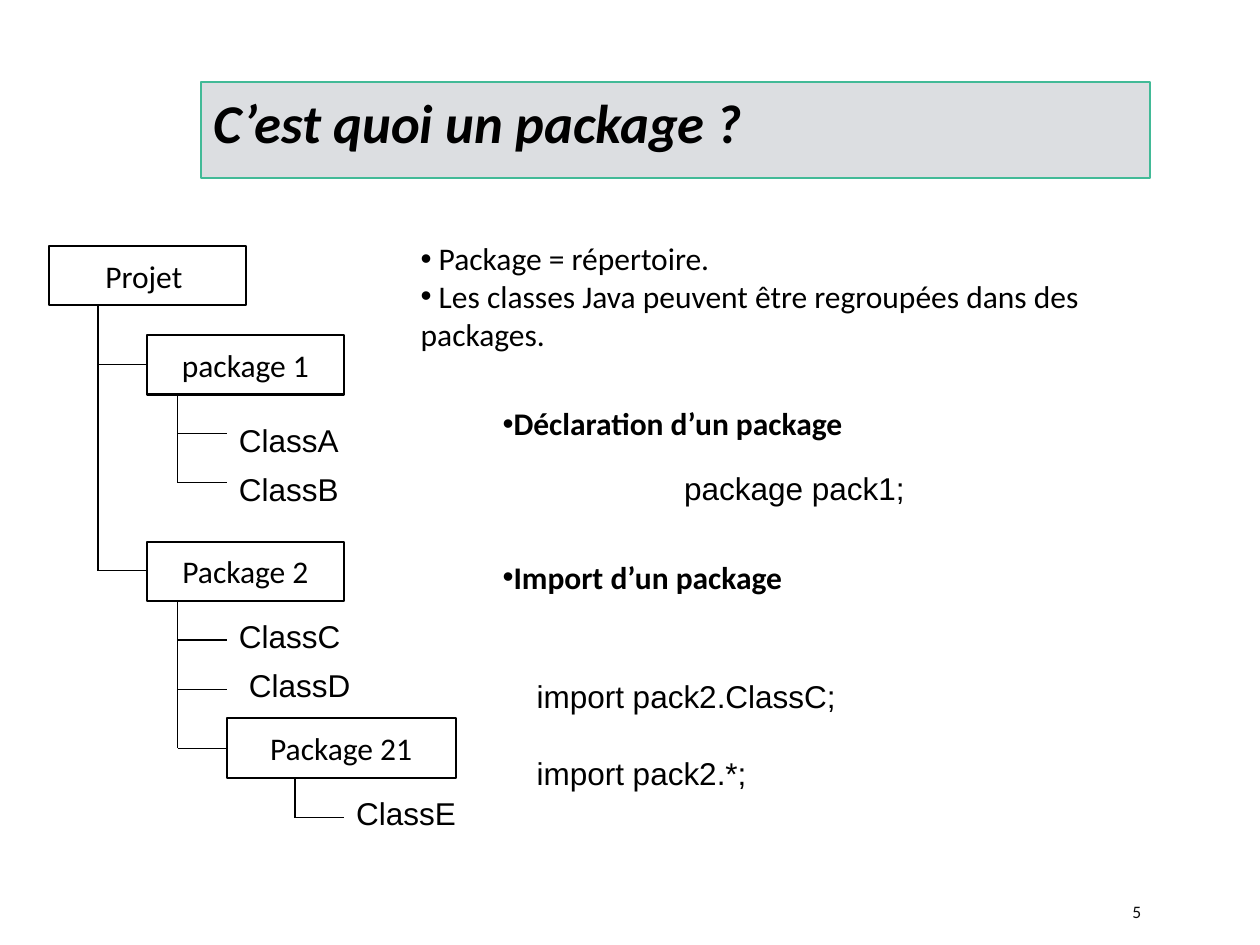
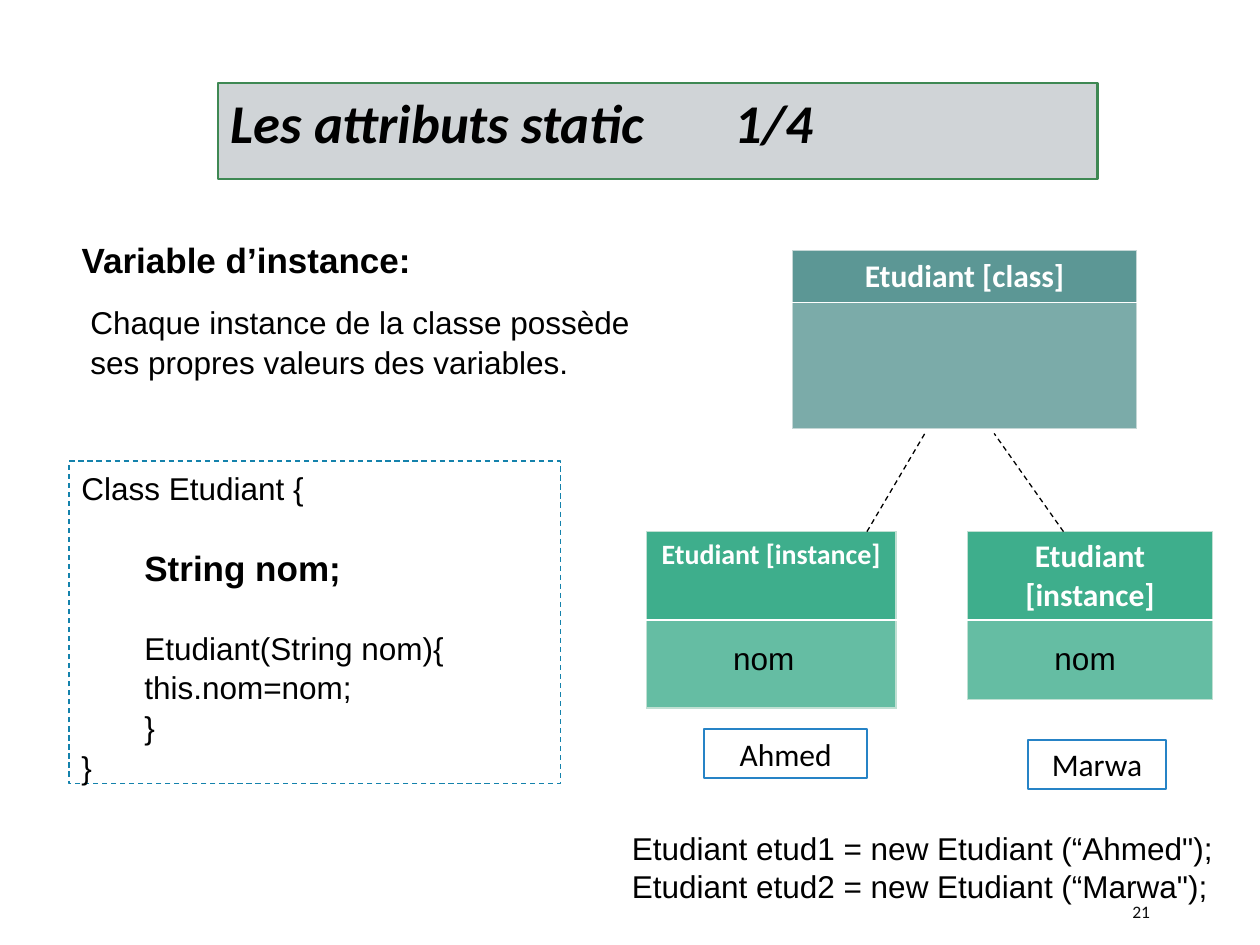
from lxml import etree
from pptx import Presentation
from pptx.dml.color import RGBColor
from pptx.enum.dml import MSO_LINE
from pptx.enum.shapes import MSO_CONNECTOR, MSO_SHAPE
from pptx.enum.text import MSO_ANCHOR, PP_ALIGN
from pptx.oxml.ns import qn
from pptx.util import Pt

RECT = MSO_SHAPE.RECTANGLE
LINE = MSO_CONNECTOR.STRAIGHT
DASH = MSO_LINE.DASH
CENTER = PP_ALIGN.CENTER
TOP, MIDDLE = MSO_ANCHOR.TOP, MSO_ANCHOR.MIDDLE

HUES = {
    "black": "000000", "white": "FFFFFF", "number": "0D0D0D",
    "mint": "42BA97", "green": "3E8853", "mist": "DCDEE1", "grey": "D0D4D7",
    "blue": "2683C6", "code": "1482AC",
    "class": "5C9795", "class body": "7BABA9", "class edge": "C5D7D6",
    "item": "3EAE8C", "item body": "65BDA3", "item edge": "C0E0D3",
}
BODY = {"name": "Arial", "size": Pt(18)}
STRONG = {"name": "Arial", "size": Pt(20), "bold": True}
LABEL = {"name": "Calibri", "size": Pt(18)}
POINT = {**LABEL, "bold": True}
TITLE = {**POINT, "size": Pt(31.2), "italic": True}
SMALL = {**LABEL, "size": Pt(10)}
TAB = 36
STEP = 28
BOX_H = 34


def hue(name):
    return RGBColor.from_string(HUES[name])


def style(thing, values):
    for key, value in values.items():
        setattr(thing, key, value)


def write(para, text, font, color="black"):
    run = para.add_run()
    run.text = text
    style(run.font, font)
    run.font.color.rgb = hue(color)
    if font["name"] == "Arial":
        para.line_spacing = 1.05


def bullet(para):
    props = para._p.get_or_add_pPr()
    style_values = {"marL": "0", "indent": "0"}
    for key, value in style_values.items():
        props.set(key, value)
    etree.SubElement(props, qn("a:buFont")).set("typeface", "Arial")
    etree.SubElement(props, qn("a:buChar")).set("char", "•")


def add_tabs(para):
    """Set tab stops every half inch."""
    stops = etree.SubElement(para._p.get_or_add_pPr(), qn("a:tabLst"))
    for i in range(1, 13):
        stop = etree.SubElement(stops, qn("a:tab"))
        stop.set("pos", str(Pt(TAB * i)))
        stop.set("algn", "l")


def add_text(slide, box, lines, font=BODY, marks=False, color="black", anchor=TOP):
    frame = slide.shapes.add_textbox(*map(Pt, box)).text_frame
    style(frame, {"word_wrap": True, "vertical_anchor": anchor})
    for i, text in enumerate(lines):
        para = frame.add_paragraph() if i else frame.paragraphs[0]
        write(para, text, font, color)
        if marks:
            bullet(para)


def add_rect(slide, box, fill, edge, width=1.25, anchor=MIDDLE):
    rect = slide.shapes.add_shape(RECT, *map(Pt, box))
    rect.shadow.inherit = False
    if fill:
        rect.fill.solid()
        rect.fill.fore_color.rgb = hue(fill)
    else:
        rect.fill.background()
    rect.line.color.rgb = hue(edge)
    rect.line.width = Pt(width)
    style(rect.text_frame, {"word_wrap": True, "vertical_anchor": anchor})
    rect.text_frame.paragraphs[0].alignment = PP_ALIGN.LEFT
    return rect


def add_label(slide, box, text, edge="black"):
    para = add_rect(slide, box, "white", edge).text_frame.paragraphs[0]
    para.alignment = CENTER
    write(para, text, LABEL)


def add_line(slide, start, end, dash=None):
    line = slide.shapes.add_connector(LINE, *map(Pt, start + end))
    line.line.color.rgb = hue("black")
    style(line.line, {"width": Pt(0.75), "dash_style": dash})
    etree.SubElement(line._element.spPr, qn("a:effectLst"))


def add_frame(deck, box, title, number, fill, edge):
    """Add a slide with its title band and page number."""
    slide = deck.slides.add_slide(deck.slide_layouts[6])
    band = add_rect(slide, box, fill, edge, anchor=TOP)
    para = band.text_frame.paragraphs[0]
    write(para, title, TITLE)
    add_tabs(para)
    add_text(slide, (640, 509.8, 57.6, 21.6), [number], SMALL,
             color="number", anchor=MIDDLE)
    return slide


def add_branch(slide, x, top, stops):
    """Draw a trunk down from top with a twig at each stop."""
    add_line(slide, (x, top), (x, stops[-1]))
    for y in stops:
        add_line(slide, (x, y), (x + STEP, y))


def add_tree(slide, box):
    left, top, wide = box
    for text, x, y, w in (
        ("Projet ", 0, 0, wide), ("package 1", 56, 51, wide),
        ("Package 2", 56, 169, wide), ("Package 21", 101.5, 270, 131),
    ):
        add_label(slide, (left + x, top + y, w, BOX_H), text)
    for x, y, stops in (
        (28, 34, (67.6, 185.7)), (73.5, 85, (107.2, 135.3)),
        (73.5, 203, (225.3, 253.4, 287.2)), (140.5, 304, (326.8,)),
    ):
        add_branch(slide, left + x, top + y, [top + stop for stop in stops])
    for text, x, y in (
        ("ClassA", 101.5, 95.5), ("ClassB", 101.5, 123.7),
        ("ClassC", 101.5, 207.3), ("ClassD", 107.2, 235.4),
        ("ClassE", 168.5, 308.8),
    ):
        add_text(slide, (left + x, top + y, 86, 28.8), [text])


def add_notes(slide, box):
    left, top, wide = box
    add_text(slide, (left, top, wide, 72.7),
             [" Package = répertoire.",
              " Les classes Java peuvent être regroupées dans des packages."],
             LABEL, marks=True)
    for text, y in (("Déclaration d’un package", 94.3),
                    ("Import d’un package", 182.2)):
        add_text(slide, (left + 46.8, top + y, 270, 28.8), [text], POINT, marks=True)
    for text, x, y in (("package pack1;", 150.5, 130.3),
                       ("import pack2.ClassC;", 66.2, 249.1),
                       ("import pack2.*;", 66.2, 293)):
        add_text(slide, (left + x, top + y, 195, 28.8), [text])


def add_code(slide, box):
    rect = add_rect(slide, box, None, "code", 0.75, TOP)
    rect.line.dash_style = DASH
    frame = rect.text_frame
    for i, (text, font, gap) in enumerate((
        ("Class Etudiant {", BODY, 0), ("\tString nom;", STRONG, 21.6),
        ("\tEtudiant(String nom){", BODY, 21.6), ("\tthis.nom=nom;", BODY, 0),
        ("\t}", BODY, 0), ("}", BODY, 0),
    )):
        para = frame.add_paragraph() if i else frame.paragraphs[0]
        style(para, {"alignment": PP_ALIGN.LEFT, "space_before": Pt(gap)})
        write(para, text, font)
        add_tabs(para)


def edge_cell(cell, sides, color):
    props = cell._tc.get_or_add_tcPr()
    for i, side in enumerate(sides):
        line = etree.Element(qn("a:ln" + side), w=str(Pt(0.75)))
        fill = etree.SubElement(line, qn("a:solidFill"))
        etree.SubElement(fill, qn("a:srgbClr")).set("val", HUES[color])
        props.insert(i, line)


def add_card(slide, box, rows, text, kind, size=18):
    """Add a two-row table: a heading over an empty body."""
    table = slide.shapes.add_table(2, 1, *map(Pt, box), Pt(sum(rows))).table
    for i, (height, fill, sides) in enumerate(
            zip(rows, (kind, kind + " body"), ("LRT", "LRB"))):
        table.rows[i].height = Pt(height)
        cell = table.cell(i, 0)
        cell.fill.solid()
        cell.fill.fore_color.rgb = hue(fill)
        edge_cell(cell, sides, kind + " edge")
    para = table.cell(0, 0).text_frame.paragraphs[0]
    para.alignment = CENTER
    write(para, text, {**POINT, "size": Pt(size)}, "white")


def add_model(slide, box):
    """Draw the class, its two instances and their values."""
    left, top = box
    add_card(slide, (left + 83.5, top, 196.6), (29.5, 72), "Etudiant [class]", "class")
    low = top + 160.5
    for x, wide, rows, size, name, nx, ny, nw, tx in (
        (0, 142.6, (50.4, 50.4), 16, "Ahmed", 33.1, 113, 92.9, 42.5),
        (183.6, 139.7, (50.4, 45.4), 18, "Marwa", 34.6, 119, 78.5, 42.5),
    ):
        x += left
        add_card(slide, (x, low, wide), rows, "Etudiant [instance]", "item", size)
        add_text(slide, (x + tx, low + 56.9, 56, 28.8), ["nom"])
        add_label(slide, (x + nx, low + ny, nw, 28), name, "blue")
    for foot, head in ((126, 159.1), (238.3, 198.7)):
        add_line(slide, (left + foot, low), (left + head, top + 104.4), DASH)


def add_calls(slide, box):
    left, top = box
    for i, (var, name) in enumerate((("etud1", "Ahmed"), ("etud2", "Marwa"))):
        add_text(slide, (left, top + 21.6 * i, 360, 28.8),
                 [f"Etudiant {var} = new Etudiant (“{name}\");"])


def main():
    deck = Presentation()
    style(deck, {"slide_width": Pt(720), "slide_height": Pt(540)})

    slide = add_frame(deck, (115, 47, 542, 54.7), "C’est quoi un package ?",
                      "5", "mist", "mint")
    add_tree(slide, (28, 140.5, 112.5))
    add_notes(slide, (233.3, 133.2, 455))

    slide = add_frame(deck, (124.6, 47.5, 502.6, 54.7),
                      "Les attributs static \t\t1/4", "21", "grey", "green")
    add_text(slide, (39.6, 131.8, 210, 31.7), ["Variable d’instance:"], STRONG)
    add_text(slide, (44.6, 168.5, 337.7, 50.4),
             ["Chaque instance de la classe possède ses propres valeurs des variables."])
    add_code(slide, (39.4, 263.5, 281, 184.3))
    add_model(slide, (369.4, 143.3))
    add_calls(slide, (354, 469.4))

    deck.save("out.pptx")


if __name__ == "__main__":
    main()
